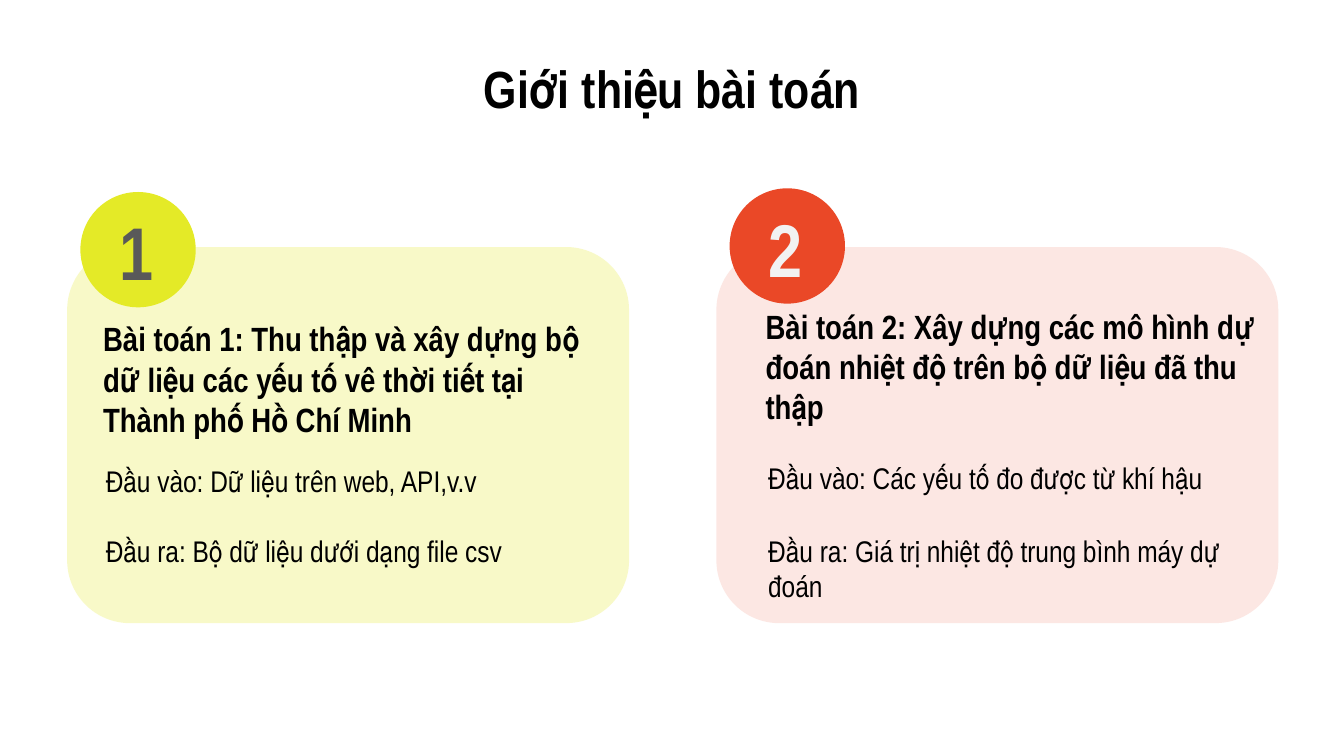
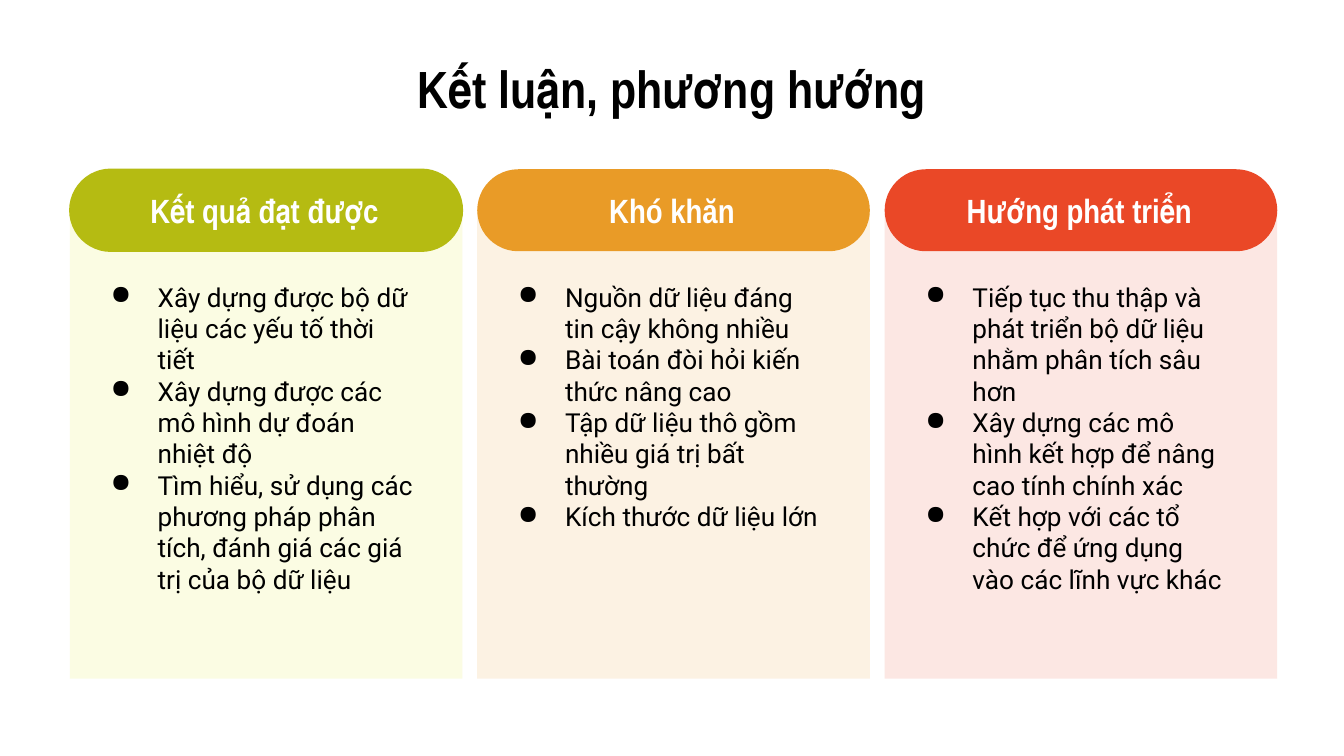
"""Build two slides: the problem introduction, and the conclusions with future directions."""
from pptx import Presentation
from pptx.dml.color import RGBColor
from pptx.enum.shapes import MSO_SHAPE
from pptx.enum.text import MSO_ANCHOR, PP_ALIGN
from pptx.oxml.ns import qn
from pptx.util import Cm, Pt
from lxml.etree import SubElement

BLACK = RGBColor(0x00, 0x00, 0x00)
WHITE = RGBColor(0xFF, 0xFF, 0xFF)
DARK_GREY = RGBColor(0x59, 0x59, 0x59)
LIGHT_GREY = RGBColor(0xF2, 0xF2, 0xF2)
LIME = RGBColor(0xE4, 0xEA, 0x27)
OLIVE = RGBColor(0xB5, 0xBB, 0x12)
ORANGE = RGBColor(0xE9, 0x9B, 0x27)
RED = RGBColor(0xEA, 0x48, 0x27)
HEADING_FONT = "Arial Narrow"
BODY_FONT = "Roboto"
INSET = 0.25

INTRO_TITLE = "Giới thiệu bài toán"
PROBLEMS = [
    {
        "left": 1.27, "color": LIME, "opacity": 25,
        "number": "1", "number_color": DARK_GREY, "badge_top": 3.63,
        "heading": "Bài toán 1: Thu thập và xây dựng bộ dữ liệu các yếu tố vê thời tiết "
                   "tại Thành phố Hồ Chí Minh",
        "heading_place": (1.7, 6.07, 9.88, 2.18),
        "details": [
            (["Đầu vào: Dữ liệu trên web, API,v.v"], (1.75, 8.61, 7.65, 0.94)),
            (["Đầu ra: Bộ dữ liệu dưới dạng file csv"], (1.75, 9.93, 8.6, 0.94)),
        ],
    },
    {
        "left": 13.54, "color": RED, "opacity": 13,
        "number": "2", "number_color": LIGHT_GREY, "badge_top": 3.56,
        "heading": "Bài toán 2: Xây dựng các mô hình dự đoán nhiệt độ trên bộ dữ liệu "
                   "đã thu thập",
        "heading_place": (14.22, 5.23, 10.08, 3.38),
        "details": [
            (["Đầu vào: Các yếu tố đo được từ khí hậu"], (14.27, 8.56, 8.84, 0.94)),
            (["Đầu ra: Giá trị nhiệt độ trung bình máy dự", "đoán"],
             (14.27, 9.93, 9.45, 1.63)),
        ],
    },
]

CONCLUSION_TITLE = "Kết luận, phương hướng"
CONCLUSIONS = [
    ("Kết quả đạt được", OLIVE, LIME, [
        "Xây dựng được bộ dữ liệu các yếu tố thời tiết",
        "Xây dựng được các mô hình dự đoán nhiệt độ",
        "Tìm hiểu, sử dụng các phương pháp phân tích, đánh giá các giá trị của bộ dữ liệu",
    ]),
    ("Khó khăn", ORANGE, ORANGE, [
        "Nguồn dữ liệu đáng tin cậy không nhiều",
        "Bài toán đòi hỏi kiến thức nâng cao",
        "Tập dữ liệu thô gồm nhiều giá trị bất thường",
        "Kích thước dữ liệu lớn",
    ]),
    ("Hướng phát triển", RED, RED, [
        "Tiếp tục thu thập và phát triển bộ dữ liệu nhằm phân tích sâu hơn",
        "Xây dựng các mô hình kết hợp để nâng cao tính chính xác",
        "Kết hợp với các tổ chức để ứng dụng vào các lĩnh vực khác",
    ]),
]


def add_block(page, kind, place, color, opacity=100, roundness=None):
    block = page.shapes.add_shape(kind, *map(Cm, place))
    block.shadow.inherit = False
    block.fill.solid()
    block.fill.fore_color.rgb = color
    block.line.fill.background()
    if roundness is not None:
        block.adjustments[0] = roundness
    if opacity < 100:
        tint = block.element.spPr.find(qn("a:solidFill"))[0]
        SubElement(tint, qn("a:alpha")).set("val", str(opacity * 1000))
    return block


def add_text(shapes, lines, place, size, color=BLACK, bold=False, font=HEADING_FONT,
             align=PP_ALIGN.LEFT, anchor=MSO_ANCHOR.TOP, inset=0.13):
    box = shapes.add_textbox(*map(Cm, place))
    frame = box.text_frame
    frame.word_wrap = True
    frame.vertical_anchor = anchor
    frame.margin_left = frame.margin_right = Cm(INSET)
    frame.margin_top = frame.margin_bottom = Cm(inset)
    frame.text = "\n".join(lines)
    for para in frame.paragraphs:
        para.alignment = align
        for span in para.runs:
            span.font.name = font
            span.font.size = Pt(size)
            span.font.bold = bold
            span.font.color.rgb = color
    return box


def add_bullets(box):
    for para in box.text_frame.paragraphs:
        properties = para._p.get_or_add_pPr()
        properties.set("marL", str(Cm(0.89)))
        properties.set("indent", str(-Cm(0.89)))
        bullet_color = SubElement(properties, qn("a:buClr"))
        SubElement(bullet_color, qn("a:srgbClr")).set("val", str(BLACK))
        SubElement(properties, qn("a:buChar")).set("char", "●")


def add_page(deck, title):
    page = deck.slides.add_slide(deck.slide_layouts[6])
    page.background.fill.solid()
    page.background.fill.fore_color.rgb = WHITE
    add_text(page.shapes, [title], (1.27, 1.14, 22.86, 1.04), 28, bold=True,
             align=PP_ALIGN.CENTER, anchor=MSO_ANCHOR.MIDDLE, inset=INSET)
    return page


def build_introduction(deck):
    page = add_page(deck, INTRO_TITLE)
    for problem in PROBLEMS:
        left, top = problem["left"], problem["badge_top"]
        add_block(page, MSO_SHAPE.ROUNDED_RECTANGLE, (left, 4.67, 10.62, 7.11),
                  problem["color"], problem["opacity"], 0.167)
        add_block(page, MSO_SHAPE.OVAL, (left + 0.25, top, 2.18, 2.18), problem["color"])
        add_text(page.shapes, [problem["number"]], (left + 0.73, top + 0.14, 1.22, 1.98),
                 40, problem["number_color"], bold=True)
        add_text(page.shapes, [problem["heading"]], problem["heading_place"], 18,
                 bold=True, anchor=MSO_ANCHOR.MIDDLE, inset=INSET)
        for lines, place in problem["details"]:
            add_text(page.shapes, lines, place, 16)


def build_conclusion(deck):
    page = add_page(deck, CONCLUSION_TITLE)
    width, step = 7.42, 7.7
    for index, (label, pill_color, panel_color, points) in enumerate(CONCLUSIONS):
        left = 1.32 + index * step
        add_block(page, MSO_SHAPE.RECTANGLE, (left, 3.94, width, 8.89), panel_color, 13)
        pill = add_block(page, MSO_SHAPE.ROUNDED_RECTANGLE, (left, 3.2, width, 1.55),
                         pill_color, roundness=0.5)
        if pill_color == OLIVE:
            pill.line.color.rgb = OLIVE
            pill.line.width = Pt(0.75)
        column = page.shapes.add_group_shape()
        add_text(column.shapes, [label], (left + 0.57, 3.51, 6.22, 0.91), 18, WHITE,
                 bold=True, align=PP_ALIGN.CENTER, anchor=MSO_ANCHOR.MIDDLE, inset=INSET)
        add_bullets(add_text(column.shapes, points, (left + 0.52, 5.06, 6.22, 7.41), 14,
                             font=BODY_FONT, inset=INSET))


def main():
    deck = Presentation()
    deck.slide_width, deck.slide_height = Cm(25.4), Cm(14.29)
    build_introduction(deck)
    build_conclusion(deck)
    deck.save("out.pptx")


if __name__ == "__main__":
    main()
